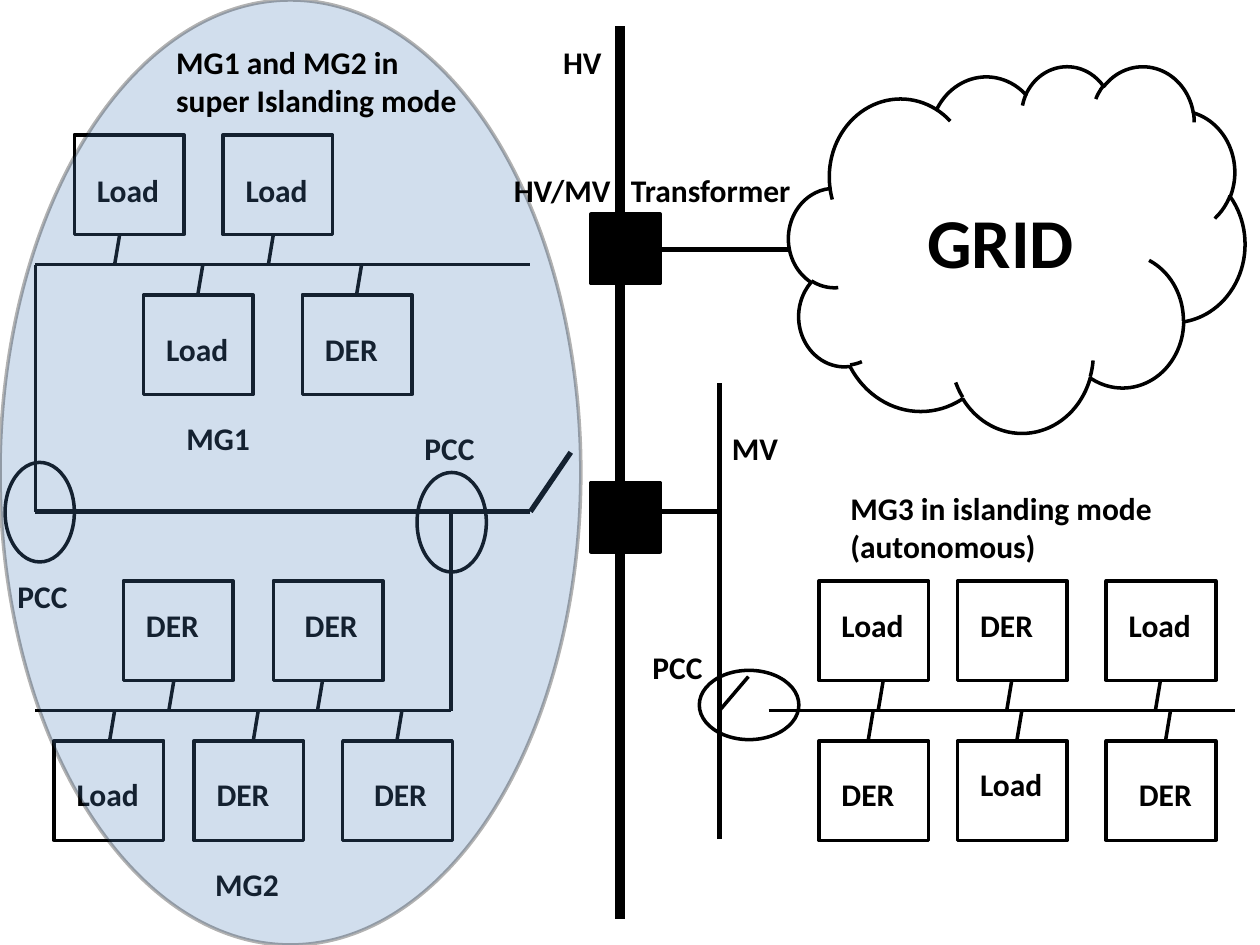
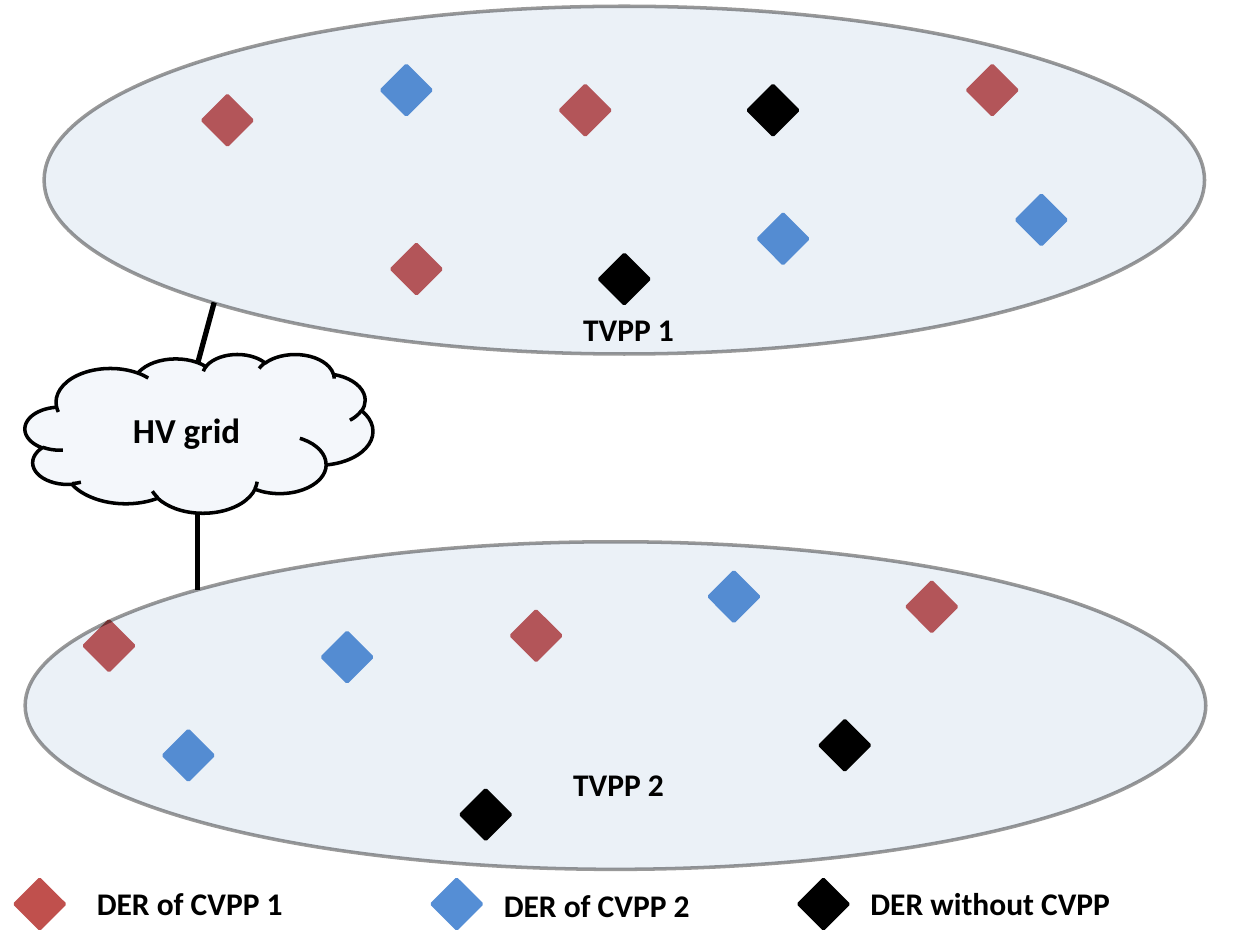
from dataclasses import dataclass

from lxml import etree
from pptx import Presentation
from pptx.dml.color import RGBColor
from pptx.enum.shapes import MSO_CONNECTOR, MSO_SHAPE
from pptx.enum.text import MSO_ANCHOR, MSO_AUTO_SIZE, PP_ALIGN
from pptx.oxml.ns import qn
from pptx.util import Inches, Pt

RECTANGLE = MSO_SHAPE.RECTANGLE
ELLIPSE = MSO_SHAPE.OVAL
CLOUD = MSO_SHAPE.CLOUD
DIAMOND = MSO_SHAPE.DIAMOND
STRAIGHT = MSO_CONNECTOR.STRAIGHT
CENTER = PP_ALIGN.CENTER
MIDDLE = MSO_ANCHOR.MIDDLE
FIT_SHAPE = MSO_AUTO_SIZE.SHAPE_TO_FIT_TEXT

FONT = "Calibri"
BLACK = "000000"
ZONE_BLUE = "4F81BD"
RED = "C0504D"
BLUE = "558ED5"

UNIT_WIDTH, UNIT_HEIGHT = 0.87, 0.79
STUB_RISE, STUB_LEAN = 0.24, 0.04
SUBSTATION_SIZE = 0.55
DIAMOND_SIZE = 0.39


@dataclass
class Unit:
    """A load or generator; offsets place its label inside the box."""
    label: str
    left: float
    stub: float
    label_dx: float = 0.08
    label_dy: float = 0


@dataclass
class Row:
    """Units hung above or below one bus."""
    bus: float
    above: bool
    label_drop: float
    units: list[Unit]


@dataclass
class Wire:
    """A straight line from one point to another."""
    x1: float
    y1: float
    x2: float
    y2: float
    weight: float = 2


@dataclass
class Label:
    """A text box, one string per paragraph."""
    left: float
    top: float
    width: float
    lines: list[str]
    height: float = 0.4


@dataclass
class Area:
    """A preset shape with optional tint, opacity in percent."""
    preset: int
    left: float
    top: float
    width: float
    height: float
    fill: str = ""
    fill_opacity: int = 100
    line: str = BLACK
    line_opacity: int = 100


@dataclass
class Resources:
    """Diamonds of one owner, with their legend entry."""
    colour: str
    legend: Label
    places: list[tuple[float, float]]


ROWS = [
    Row(2.1, True, 0.24, [Unit("Load", 0.59, 0.91), Unit("Load", 1.77, 2.13)]),
    Row(2.1, False, 0.23, [Unit("Load", 1.14, 1.57), Unit("DER", 2.4, 2.83)]),
    Row(5.64, True, 0.15, [
        Unit("DER", 0.98, 1.34), Unit("DER", 2.17, 2.52, 0.15),
        Unit("Load", 6.5, 6.97), Unit("DER", 7.6, 7.99), Unit("Load", 8.78, 9.17)]),
    Row(5.64, False, 0.22, [
        Unit("Load", 0.43, 0.87), Unit("DER", 1.54, 2.01), Unit("DER", 2.72, 3.15, 0.15),
        Unit("DER", 6.5, 6.89), Unit("Load", 7.6, 8.07, label_dy=-0.08),
        Unit("DER", 8.78, 9.25, 0.16)]),
]
NETWORK_WIRES = [
    Wire(4.92, 0.21, 4.92, 7.29, 6),
    Wire(6.27, 1.98, 5.24, 1.98, 3),
    Wire(0.28, 2.1, 4.21, 2.1),
    Wire(0.28, 5.64, 3.58, 5.64),
    Wire(6.1, 5.64, 9.8, 5.64),
    Wire(5.71, 6.66, 5.71, 3.04, 3),
    Wire(5.71, 4.06, 5.24, 4.06, 3),
    Wire(5.71, 5.64, 5.94, 5.37),
    Wire(4.21, 4.06, 0.28, 4.06, 3),
    Wire(3.58, 5.64, 3.58, 4.06),
    Wire(0.28, 4.06, 0.28, 2.1),
    Wire(4.21, 4.06, 4.53, 3.59, 3),
]
COUPLING_POINTS = [
    Area(ELLIPSE, 5.55, 5.32, 0.79, 0.55),
    Area(ELLIPSE, 3.31, 3.75, 0.55, 0.79),
    Area(ELLIPSE, 0.04, 3.67, 0.55, 0.79),
]
NETWORK_LABELS = [
    Label(4.37, 0.29, 0.71, ["HV"]),
    Label(5.71, 3.36, 0.79, ["MV"]),
    Label(5.08, 5.09, 0.87, ["PCC"]),
    Label(3.27, 3.36, 0.87, ["PCC"]),
    Label(0.04, 4.53, 0.87, ["PCC"]),
    Label(1.38, 3.28, 1.42, ["MG1"]),
    Label(1.61, 6.82, 0.94, ["MG2"]),
    Label(6.65, 3.83, 2.99, ["MG3 in islanding mode", "(autonomous)"], 0.71),
]
TOP_LABELS = [
    Label(1.3, 0.29, 2.52, ["MG1 and MG2 in super Islanding mode"], 0.71),
    Label(3.98, 1.31, 1, ["HV/MV"]),
    Label(4.91, 1.31, 1.6, ["Transformer"]),
]
CVPPS = [
    Resources(RED, Label(0.67, 6.97, 2.44, ["DER of CVPP 1"]), [
        (4.06, 4.85), (0.12, 6.98), (3.11, 1.94), (7.68, 0.52),
        (4.45, 0.68), (7.2, 4.62), (0.67, 4.93), (1.61, 0.76)]),
    Resources(BLUE, Label(3.9, 6.98, 2.44, ["DER of CVPP 2"]), [
        (2.56, 5.02), (8.07, 1.55), (5.63, 4.54), (3.43, 6.98),
        (1.3, 5.8), (6.02, 1.7), (3.03, 0.52)]),
]
INDEPENDENT = Resources(BLACK, Label(6.81, 6.97, 2.44, ["DER without CVPP"]), [
    (6.34, 6.98), (6.51, 5.72), (3.66, 6.27), (4.76, 2.02), (5.94, 0.68)])
TVPP_ZONES = [
    Area(ELLIPSE, 0.35, 0.05, 9.21, 2.76, ZONE_BLUE, 11, line_opacity=40),
    Area(ELLIPSE, 0.2, 4.3, 9.37, 2.6, ZONE_BLUE, 11, line_opacity=40),
]
TVPP_LABELS = [Label(4.45, 6.02, 2.52, ["TVPP 2"]), Label(4.53, 2.41, 2.52, ["TVPP 1"])]


def paint(fill, colour: str, opacity: int = 100) -> None:
    """Make a fill solid in a hex colour with an opacity in percent."""
    fill.solid()
    fill.fore_color.rgb = RGBColor.from_string(colour)
    if opacity < 100:
        tint = fill._xPr.find(qn("a:solidFill"))[0]
        etree.SubElement(tint, qn("a:alpha")).set("val", str(opacity * 1000))


def write(paragraph, text: str, size: float = 18) -> None:
    """Add one bold black run."""
    run = paragraph.add_run()
    run.text = text
    run.font.name = FONT
    run.font.size = Pt(size)
    run.font.bold = True
    paint(run.font.fill, BLACK)


def draw_area(slide, area: Area, text: str = "", size: float = 18) -> None:
    """Draw a preset shape with optional centred text."""
    shape = slide.shapes.add_shape(
        area.preset, Inches(area.left), Inches(area.top),
        Inches(area.width), Inches(area.height))
    shape.shadow.inherit = False
    if area.fill:
        paint(shape.fill, area.fill, area.fill_opacity)
    else:
        shape.fill.background()
    paint(shape.line.fill, area.line, area.line_opacity)
    shape.line.width = Pt(2)
    if text:
        shape.text_frame.vertical_anchor = MIDDLE
        paragraph = shape.text_frame.paragraphs[0]
        paragraph.alignment = CENTER
        write(paragraph, text, size)


def draw_wire(slide, wire: Wire) -> None:
    """Draw a plain black line."""
    connector = slide.shapes.add_connector(
        STRAIGHT, Inches(wire.x1), Inches(wire.y1), Inches(wire.x2), Inches(wire.y2))
    paint(connector.line.fill, BLACK)
    connector.line.width = Pt(wire.weight)
    etree.SubElement(connector._element.spPr, qn("a:effectLst"))


def draw_label(slide, label: Label) -> None:
    """Draw a wrapped text box."""
    frame = slide.shapes.add_textbox(
        Inches(label.left), Inches(label.top),
        Inches(label.width), Inches(label.height)).text_frame
    frame.word_wrap = True
    frame.auto_size = FIT_SHAPE
    for index, line in enumerate(label.lines):
        write(frame.add_paragraph() if index else frame.paragraphs[0], line)


def draw_row(slide, row: Row) -> None:
    """Draw the units of a bus with their stubs and labels."""
    top = row.bus - STUB_RISE - UNIT_HEIGHT if row.above else row.bus + STUB_RISE
    stub_foot = row.bus if row.above else top
    for unit in row.units:
        draw_area(slide, Area(RECTANGLE, unit.left, top, UNIT_WIDTH, UNIT_HEIGHT))
        draw_wire(slide, Wire(unit.stub, stub_foot, unit.stub + STUB_LEAN,
                              stub_foot - STUB_RISE))
        draw_label(slide, Label(unit.left + unit.label_dx,
                                top + row.label_drop + unit.label_dy, 0.71, [unit.label]))


def draw_diamonds(slide, resources: Resources) -> None:
    """Draw every diamond of one owner."""
    for left, top in resources.places:
        draw_area(slide, Area(DIAMOND, left, top, DIAMOND_SIZE, DIAMOND_SIZE,
                              resources.colour, line=resources.colour))


def build_microgrids(slide) -> None:
    """Draw the three microgrids and the grid."""
    for row in ROWS:
        draw_row(slide, row)
    draw_area(slide, Area(CLOUD, 6.26, 0.52, 3.62, 2.91), "GRID", 40)
    for wire in NETWORK_WIRES:
        draw_wire(slide, wire)
    for top in (1.7, 3.83):
        draw_area(slide, Area(RECTANGLE, 4.69, top, SUBSTATION_SIZE, SUBSTATION_SIZE, BLACK))
    for point in COUPLING_POINTS:
        draw_area(slide, point)
    for label in NETWORK_LABELS:
        draw_label(slide, label)
    draw_area(slide, Area(ELLIPSE, 0, 0, 4.61, 7.5, ZONE_BLUE, 26, line_opacity=29))
    for label in TOP_LABELS:
        draw_label(slide, label)


def build_power_plants(slide) -> None:
    """Draw the technical and commercial virtual power plants."""
    for resources in CVPPS:
        draw_diamonds(slide, resources)
    for zone in TVPP_ZONES:
        draw_area(slide, zone)
    draw_diamonds(slide, INDEPENDENT)
    for label in [owner.legend for owner in [*CVPPS, INDEPENDENT]] + TVPP_LABELS:
        draw_label(slide, label)
    draw_area(slide, Area(CLOUD, 0.2, 2.81, 2.76, 1.26, ZONE_BLUE, 6), "HV grid", 20)
    draw_wire(slide, Wire(1.57, 4.68, 1.57, 4.06, 3))
    draw_wire(slide, Wire(1.57, 2.88, 1.7, 2.4, 3))


def main() -> None:
    """Build and save the deck."""
    deck = Presentation()
    deck.slide_width, deck.slide_height = Inches(10), Inches(7.5)
    blank = deck.slide_layouts[6]
    for build in (build_microgrids, build_power_plants):
        build(deck.slides.add_slide(blank))
    deck.save("out.pptx")


main()
